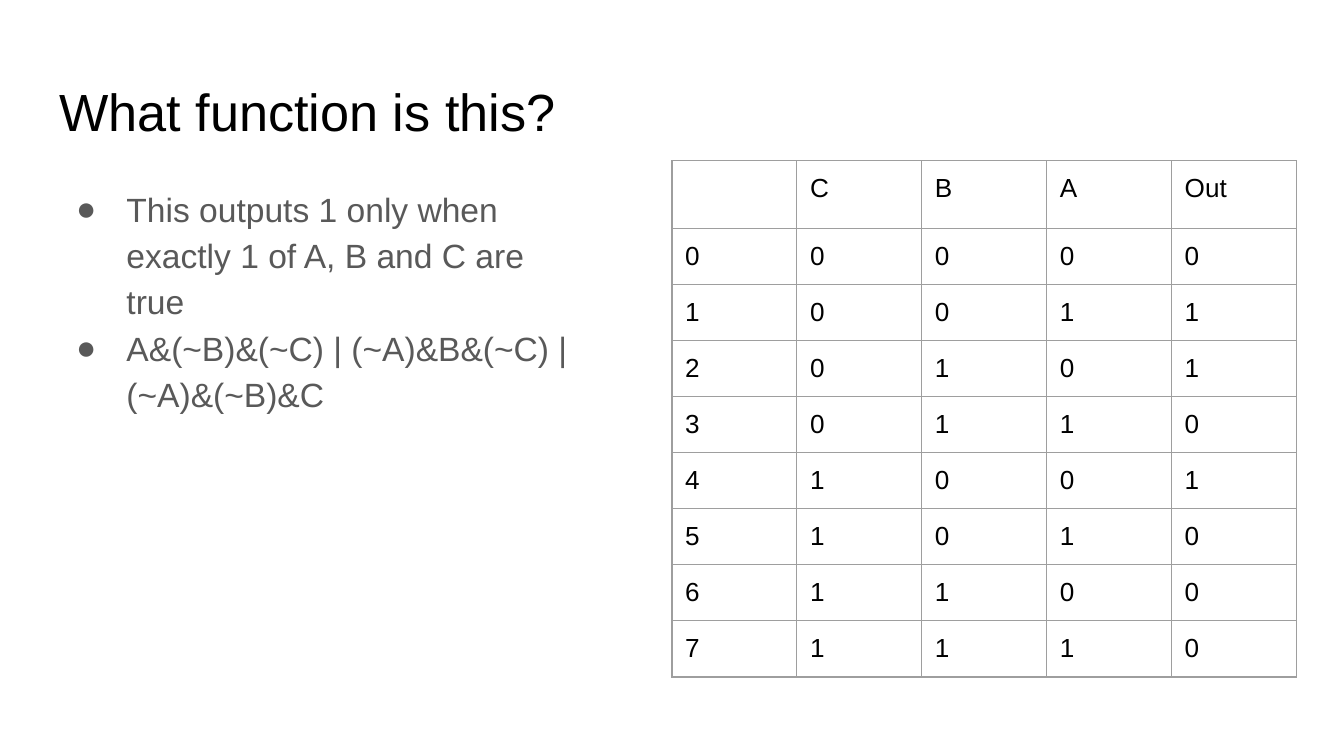
"""Build a slide that asks which function a three-input truth table describes."""
from dataclasses import dataclass

from lxml.etree import SubElement
from pptx import Presentation
from pptx.dml.color import RGBColor as Rgb
from pptx.enum.text import MSO_ANCHOR as Anchor, MSO_AUTO_SIZE as AutoSize, PP_ALIGN as Align
from pptx.oxml import parse_xml
from pptx.oxml.ns import nsdecls, qn
from pptx.util import Cm, Pt

QUESTION = "What function is this?"
ANSWERS = [
    "This outputs 1 only when exactly 1 of A, B and C are true",
    "A&(~B)&(~C) | (~A)&B&(~C) | (~A)&(~B)&C",
]
TRUTH_TABLE = [
    ("", "C", "B", "A", "Out"),
    (0, 0, 0, 0, 0),
    (1, 0, 0, 1, 1),
    (2, 0, 1, 0, 1),
    (3, 0, 1, 1, 0),
    (4, 1, 0, 0, 1),
    (5, 1, 0, 1, 0),
    (6, 1, 1, 0, 0),
    (7, 1, 1, 1, 0),
]


@dataclass(frozen=True)
class Theme:
    """Colours, type and spacing of the slide."""
    font: str = "Arial"
    ink: str = "000000"
    muted: str = "595959"
    rule: str = "9E9E9E"
    rule_width: int = Pt(0.75)
    title_size: int = 28
    body_size: int = 18
    table_size: int = 14
    inset: int = Cm(0.25)


THEME = Theme()


def write(paragraph, text, size, color=THEME.ink, spacing=1.0, bullet=None):
    """Fill a paragraph with left-aligned text in the given format."""
    run = paragraph.add_run()
    run.text = str(text)
    run.font.name = THEME.font
    run.font.size = Pt(size)
    run.font.color.rgb = Rgb.from_string(color)
    paragraph.alignment = Align.LEFT
    paragraph.line_spacing = spacing
    paragraph.space_before = paragraph.space_after = Pt(0)
    if bullet:
        properties = paragraph._p.get_or_add_pPr()
        properties.set("marL", str(Cm(1.27)))
        properties.set("indent", str(Cm(-0.95)))
        bullet_color = SubElement(properties, qn("a:buClr"))
        SubElement(bullet_color, qn("a:srgbClr"), val=color)
        SubElement(properties, qn("a:buFont"), typeface=THEME.font)
        SubElement(properties, qn("a:buChar"), char=bullet)


def set_insets(holder):
    """Give a text frame or a cell the same margin on all sides."""
    holder.margin_left = holder.margin_right = THEME.inset
    holder.margin_top = holder.margin_bottom = THEME.inset


def place(placeholder, left, top, width, height):
    """Move a placeholder and return its prepared text frame."""
    placeholder.left, placeholder.top = Cm(left), Cm(top)
    placeholder.width, placeholder.height = Cm(width), Cm(height)
    frame = placeholder.text_frame
    frame.word_wrap = True
    frame.auto_size = AutoSize.NONE
    frame.vertical_anchor = Anchor.TOP
    set_insets(frame)
    return frame


def outline(cell):
    """Draw a thin rule on every side of a cell without a fill."""
    cell.fill.background()
    properties = cell._tc.get_or_add_tcPr()
    for position, side in enumerate(("lnL", "lnR", "lnT", "lnB")):
        properties.insert(position, parse_xml(
            f'<a:{side} {nsdecls("a")} w="{THEME.rule_width}"><a:solidFill>'
            f'<a:srgbClr val="{THEME.rule}"/></a:solidFill></a:{side}>'))


def add_truth_table(slide, left, top, column_width, header_height, row_height):
    """Add the truth table with equal columns and equal value rows."""
    row_count, column_count = len(TRUTH_TABLE), len(TRUTH_TABLE[0])
    table = slide.shapes.add_table(
        row_count, column_count, Cm(left), Cm(top), Cm(column_width * column_count),
        Cm(header_height + row_height * (row_count - 1))).table
    table.first_row = table.horz_banding = False
    for column in table.columns:
        column.width = Cm(column_width)
    for index, entries in enumerate(TRUTH_TABLE):
        table.rows[index].height = Cm(row_height if index else header_height)
        for cell, entry in zip(table.rows[index].cells, entries):
            set_insets(cell)
            outline(cell)
            if entry != "":
                write(cell.text_frame.paragraphs[0], entry, THEME.table_size)


def main():
    deck = Presentation()
    deck.slide_width, deck.slide_height = Cm(25.4), Cm(14.29)
    slide = deck.slides.add_slide(deck.slide_layouts.get_by_name("Title and Content"))

    heading = place(slide.shapes.title, 0.87, 1.24, 23.67, 1.6)
    write(heading.paragraphs[0], QUESTION, THEME.title_size)

    answer_list = place(slide.placeholders[1], 0.87, 3.2, 10.11, 9.5)
    for index, answer in enumerate(ANSWERS):
        paragraph = answer_list.add_paragraph() if index else answer_list.paragraphs[0]
        write(paragraph, answer, THEME.body_size, color=THEME.muted, spacing=1.15, bullet="●")

    add_truth_table(slide, left=12.7, top=3.04, column_width=2.36,
                    header_height=1.22, row_height=1.06)
    deck.save("out.pptx")


if __name__ == "__main__":
    main()
